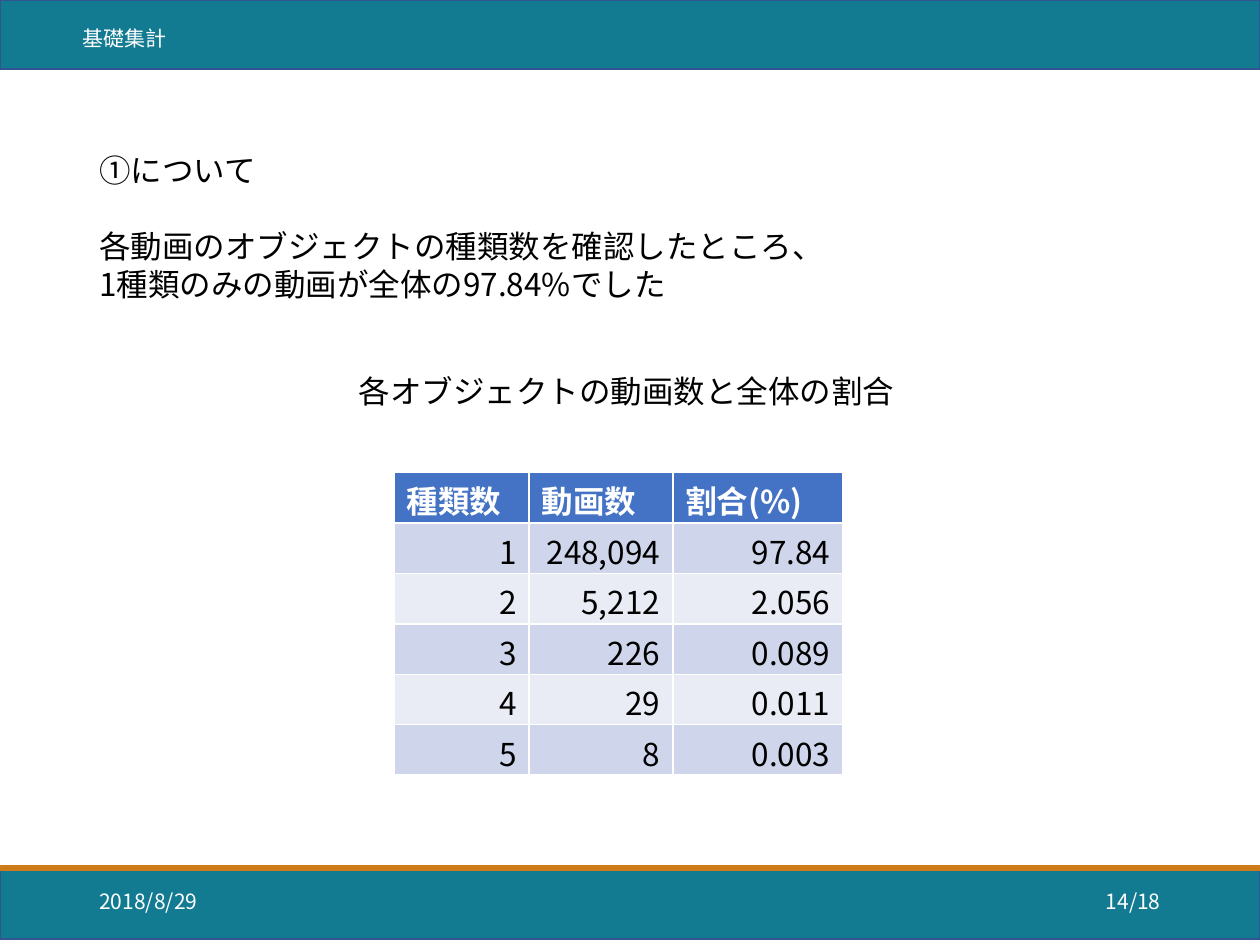
from pptx import Presentation
from pptx.dml.color import RGBColor
from pptx.enum.shapes import MSO_CONNECTOR, MSO_SHAPE
from pptx.enum.text import MSO_ANCHOR as Anchor, PP_ALIGN as Align
from pptx.oxml.ns import qn
from pptx.util import Inches, Pt
from lxml.etree import SubElement

FONT = "Noto Sans CJK JP"
COLORS = {
    "band": "127B92", "band_edge": "325491", "rule": "CE7C1B",
    "white": "FFFFFF", "text": "000000",
    "head": "4472C4", "odd": "CFD5EA", "even": "E9EBF5",
}
ROWS = [
    ("種類数", "動画数", "割合(%)"),
    ("1", "248,094", "97.84"),
    ("2", "5,212", "2.056"),
    ("3", "226", "0.089"),
    ("4", "29", "0.011"),
    ("5", "8", "0.003"),
]
COLUMN_WIDTHS = (1.07, 1.14, 1.35)
ROW_HEIGHT = 0.4


def rgb(name):
    return RGBColor.from_string(COLORS[name])


def write(paragraph, text, size, color, align=Align.LEFT, bold=False):
    paragraph.alignment = align
    paragraph.line_spacing = Pt(size * 1.2)
    run = paragraph.add_run()
    run.text = text
    font = run.font
    font.name, font.size, font.bold = FONT, Pt(size), bold
    font.color.rgb = rgb(color)
    east_asian = SubElement(font._element, qn("a:ea"))
    east_asian.set("typeface", FONT)


def add_text(slide, box, lines, size, color, align=Align.LEFT,
             anchor=Anchor.TOP, wrap=False):
    frame = slide.shapes.add_textbox(*map(Inches, box)).text_frame
    frame.word_wrap = wrap
    frame.vertical_anchor = anchor
    for i, line in enumerate(lines):
        paragraph = frame.add_paragraph() if i else frame.paragraphs[0]
        write(paragraph, line, size, color, align)
    return frame


def add_band(slide, box):
    band = slide.shapes.add_shape(MSO_SHAPE.RECTANGLE, *map(Inches, box))
    band.shadow.inherit = False
    band.fill.solid()
    band.fill.fore_color.rgb = rgb("band")
    band.line.color.rgb = rgb("band_edge")
    band.line.width = Pt(1)


def add_header(slide, left, top, width, height):
    add_band(slide, (left, top, width, height))
    add_text(slide, (left + 0.56, top + 0.15, 0.88, 0.3), ["基礎集計"],
             12, "white")


def add_footer(slide, left, top, width, height):
    add_band(slide, (left, top, width, height))
    # Orange rule along the top of the band
    y = Inches(top - 0.01)
    rule = slide.shapes.add_connector(
        MSO_CONNECTOR.STRAIGHT, Inches(left), y, Inches(left + width), y)
    rule.line.color.rgb = rgb("rule")
    rule.line.width = Pt(3.75)
    SubElement(rule._element.spPr, qn("a:effectLst"))
    # Date and page number, at equal distances from the edges
    inset, field = 0.69, 2.25
    fields = [
        ("2018/8/29", left + inset, Align.LEFT),
        ("14/18", left + width - inset - field, Align.RIGHT),
    ]
    for text, x, align in fields:
        add_text(slide, (x, top + 0.05, field, 0.4), [text], 12, "white",
                 align, Anchor.MIDDLE, wrap=True)


def add_finding(slide, left, top, width, height):
    frame = add_text(slide, (left, top, width, height), [
        "①について",
        "各動画のオブジェクトの種類数を確認したところ、",
        "1種類のみの動画が全体の97.84%でした",
    ], 18, "text")
    frame.paragraphs[1].space_before = Pt(21.6)


def add_counts(slide, left, top, width, height):
    table = slide.shapes.add_table(
        len(ROWS), len(COLUMN_WIDTHS),
        *map(Inches, (left, top, width, height))).table
    for column, column_width in zip(table.columns, COLUMN_WIDTHS):
        column.width = Inches(column_width)
    for r, values in enumerate(ROWS):
        table.rows[r].height = Inches(ROW_HEIGHT)
        is_head = r == 0
        fill = "head" if is_head else ("odd" if r % 2 else "even")
        for c, value in enumerate(values):
            cell = table.cell(r, c)
            cell.fill.solid()
            cell.fill.fore_color.rgb = rgb(fill)
            cell.margin_top, cell.margin_bottom = Inches(0.1), 0
            cell.vertical_anchor = Anchor.TOP if is_head else Anchor.MIDDLE
            write(cell.text_frame.paragraphs[0], value, 18,
                  "white" if is_head else "text",
                  Align.LEFT if is_head else Align.RIGHT, is_head)


def main():
    prs = Presentation()
    prs.slide_width, prs.slide_height = Inches(10), Inches(7.5)
    slide = prs.slides.add_slide(prs.slide_layouts[6])
    add_header(slide, 0, 0, 10, 0.55)
    add_footer(slide, 0, 6.9, 10, 0.55)
    add_finding(slide, 0.69, 1.15, 6.01, 1.31)
    # Table with its caption
    add_text(slide, (2.75, 2.9, 4.49, 0.4),
             ["各オブジェクトの動画数と全体の割合"], 18, "text")
    add_counts(slide, 3.13, 3.75, sum(COLUMN_WIDTHS), ROW_HEIGHT * len(ROWS))
    prs.save("out.pptx")


if __name__ == "__main__":
    main()
